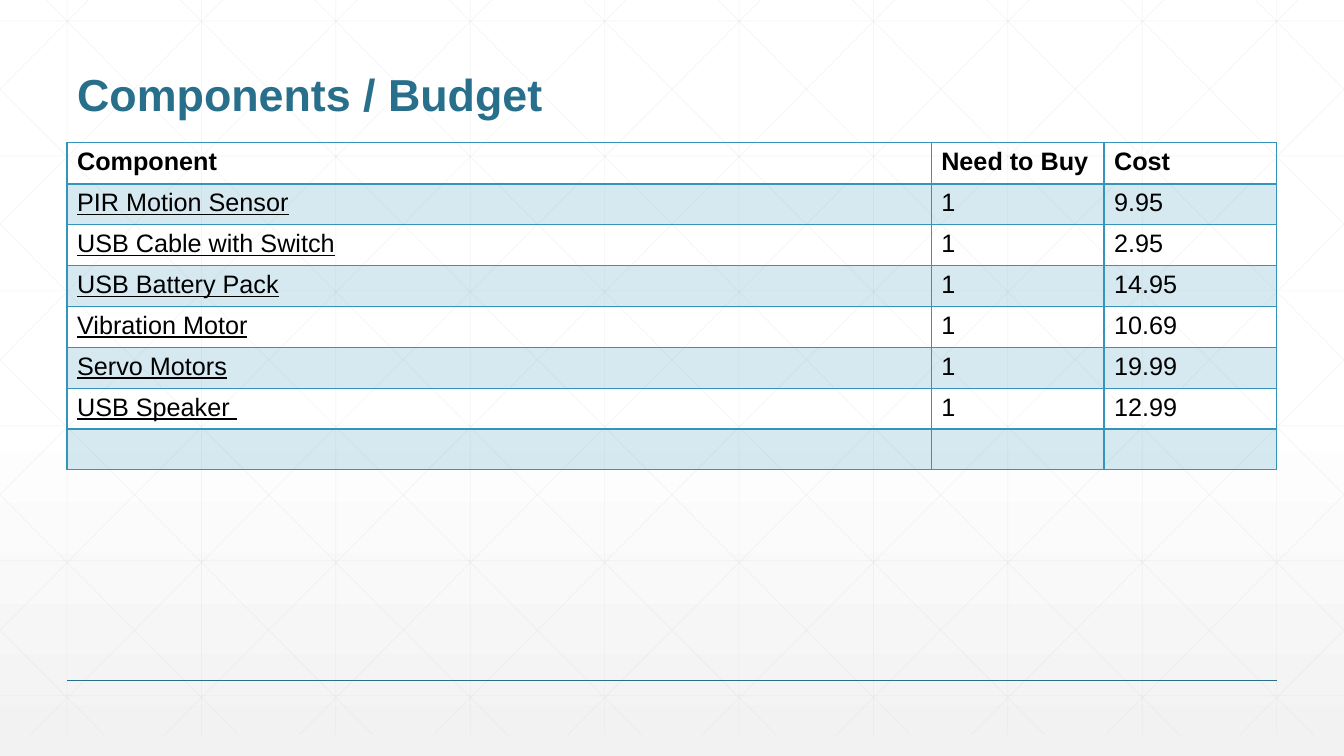
from lxml import etree
from pptx import Presentation
from pptx.dml.color import RGBColor
from pptx.enum.shapes import MSO_CONNECTOR
from pptx.enum.text import MSO_ANCHOR, MSO_AUTO_SIZE, PP_ALIGN
from pptx.oxml import parse_xml
from pptx.oxml.ns import qn
from pptx.util import Cm, Pt

STRAIGHT = MSO_CONNECTOR.STRAIGHT
BOTTOM = MSO_ANCHOR.BOTTOM
NO_FIT = MSO_AUTO_SIZE.NONE
LEFT = PP_ALIGN.LEFT

WHITE = RGBColor(0xFF, 0xFF, 0xFF)
BLACK = RGBColor(0x00, 0x00, 0x00)
MIST = RGBColor(0xF2, 0xF2, 0xF2)
GREY = RGBColor(0xD9, 0xD9, 0xD9)
TEAL = RGBColor(0x27, 0x6F, 0x8B)
BLUE = RGBColor(0x34, 0x94, 0xBA)

FONT = "Arial"
WIDE, HIGH = 33.87, 19.05
MARGIN = 1.69
INNER = WIDE - 2 * MARGIN
DRAWING = "http://schemas.openxmlformats.org/drawingml/2006/main"

HEADS = ("Component", "Need to Buy", "Cost")
PARTS = (
    ("PIR Motion Sensor", "1", "9.95"),
    ("USB Cable with Switch", "1", "2.95"),
    ("USB Battery Pack", "1", "14.95"),
    ("Vibration Motor", "1", "10.69"),
    ("Servo Motors", "1", "19.99"),
    ("USB Speaker ", "1", "12.99"),
    ("", "", ""),
)


def fade(fill, share):
    for color in fill.iter(qn("a:srgbClr")):
        etree.SubElement(color, qn("a:alpha"), val=str(share * 1000))


def add_line(shapes, start, end, color, width):
    line = shapes.add_connector(STRAIGHT, *map(Cm, start + end))
    line.line.color.rgb = color
    line.line.width = Pt(width)
    etree.SubElement(line.element.spPr, qn("a:effectLst"))
    return line


def paint_back(slide):
    fill = slide.background.fill
    fill.gradient()
    fill.gradient_angle = 270
    for stop, place, color in zip(fill.gradient_stops, (0.53, 1), (WHITE, MIST)):
        stop.position = place
        stop.color.rgb = color


def add_grid(slide, top, height):
    foot = top + height
    pitch = WIDE / 10
    run = 18.93
    slope = height / run
    lines = []
    for i in range(10):
        x = MARGIN + i * pitch
        lines.append(((x, top), (x, foot)))
    for i in range(6):
        y = 0.53 + i * 3.4
        lines.append(((0, y), (WIDE, y)))
    for i in range(-5, 10):
        x = 0.63 + i * pitch
        near, far = max(x, 0), min(x + run, WIDE)
        start = (near, top + (near - x) * slope)
        end = (far, top + (far - x) * slope)
        lines.append((start, end))
        lines.append(((WIDE - start[0], start[1]), (WIDE - end[0], end[1])))
    group = slide.shapes.add_group_shape()
    for start, end in lines:
        line = add_line(group.shapes, start, end, GREY, 0.5)
        fade(line.element.spPr, 25)


def add_title(slide, left, top, width, height):
    title = slide.shapes.title
    title.element.getparent().append(title.element)
    title.left, title.top = Cm(left), Cm(top)
    title.width, title.height = Cm(width), Cm(height)
    frame = title.text_frame
    frame.text = "Components / Budget"
    frame.auto_size = NO_FIT
    frame.vertical_anchor = BOTTOM
    para = frame.paragraphs[0]
    para.alignment = LEFT
    para.line_spacing = 0.9
    para.font.name = FONT
    para.font.size = Pt(32)
    para.font.bold = True
    para.font.color.rgb = TEAL


def add_edges(cell, above, below):
    props = cell._tc.get_or_add_tcPr()
    widths = {"L": 1, "R": 1, "T": above, "B": below}
    for i, (side, width) in enumerate(widths.items()):
        edge = parse_xml(
            f'<a:ln{side} xmlns:a="{DRAWING}" w="{Pt(width)}"><a:solidFill>'
            f'<a:srgbClr val="{BLUE}"/></a:solidFill></a:ln{side}>'
        )
        props.insert(i, edge)


def fill_cell(cell, text, row, col):
    if row % 2:
        cell.fill.solid()
        cell.fill.fore_color.rgb = BLUE
        fade(cell._tc.tcPr, 20)
    else:
        cell.fill.background()
    add_edges(cell, 2 if row == 1 else 1, 2 if row == 0 else 1)
    cell.text = text
    font = cell.text_frame.paragraphs[0].font
    font.name = FONT
    font.size = Pt(18)
    font.color.rgb = BLACK
    font.bold = row == 0
    font.underline = row > 0 and col == 0


def add_budget(slide, left, top, width, height):
    rows = (HEADS,) + PARTS
    frame = slide.shapes.add_table(
        len(rows), len(HEADS), Cm(left), Cm(top), Cm(width), Cm(height)
    )
    table = frame.table
    table.horz_banding = False
    for col, share in zip(table.columns, (5, 1, 1)):
        col.width = Cm(width * share / 7)
    for r, texts in enumerate(rows):
        table.rows[r].height = Cm(height / len(rows))
        for c, text in enumerate(texts):
            fill_cell(table.cell(r, c), text, r, c)


def main():
    deck = Presentation()
    deck.slide_width, deck.slide_height = Cm(WIDE), Cm(HIGH)
    slide = deck.slides.add_slide(deck.slide_layouts[5])
    paint_back(slide)
    add_grid(slide, -0.53, HIGH)
    add_line(slide.shapes, (MARGIN, 17.15), (WIDE - MARGIN, 17.15), TEAL, 1)
    add_title(slide, MARGIN, 0.64, INNER, 2.54)
    add_budget(slide, MARGIN, 3.6, INNER, 8.24)
    deck.save("out.pptx")


if __name__ == "__main__":
    main()
